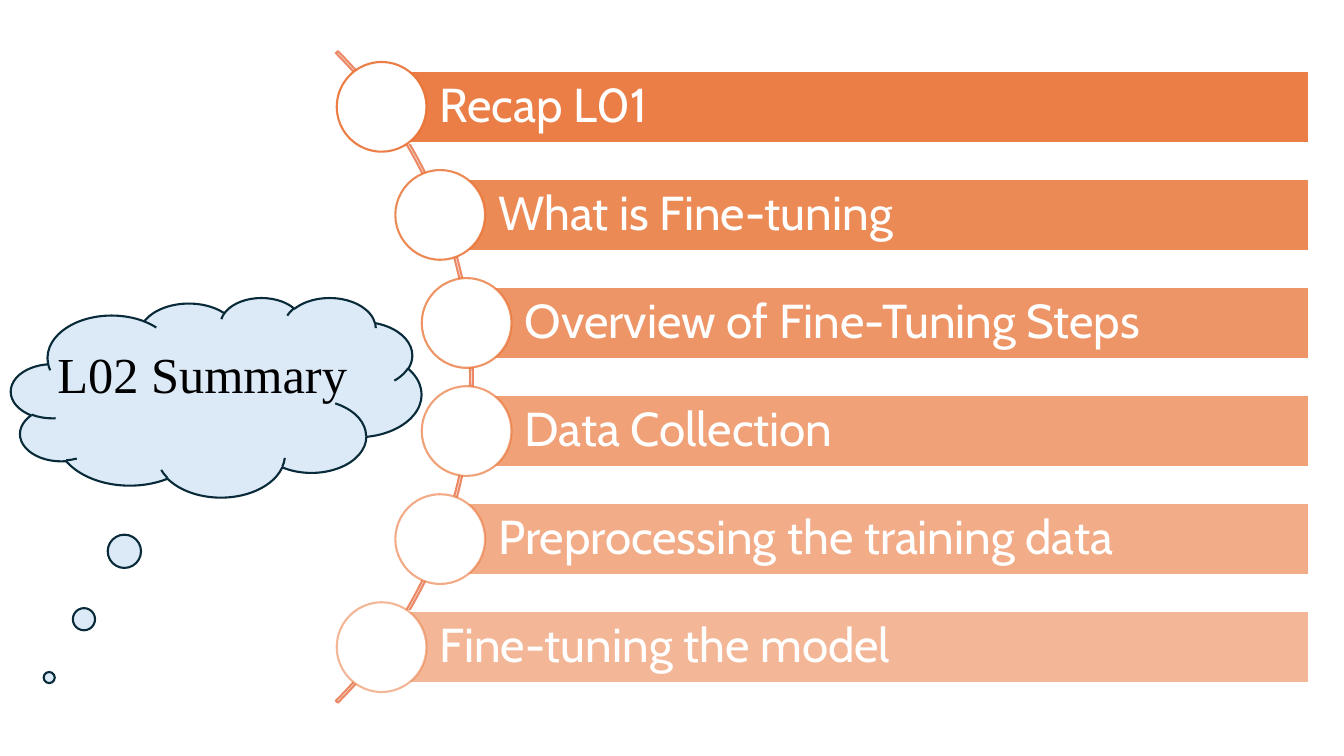
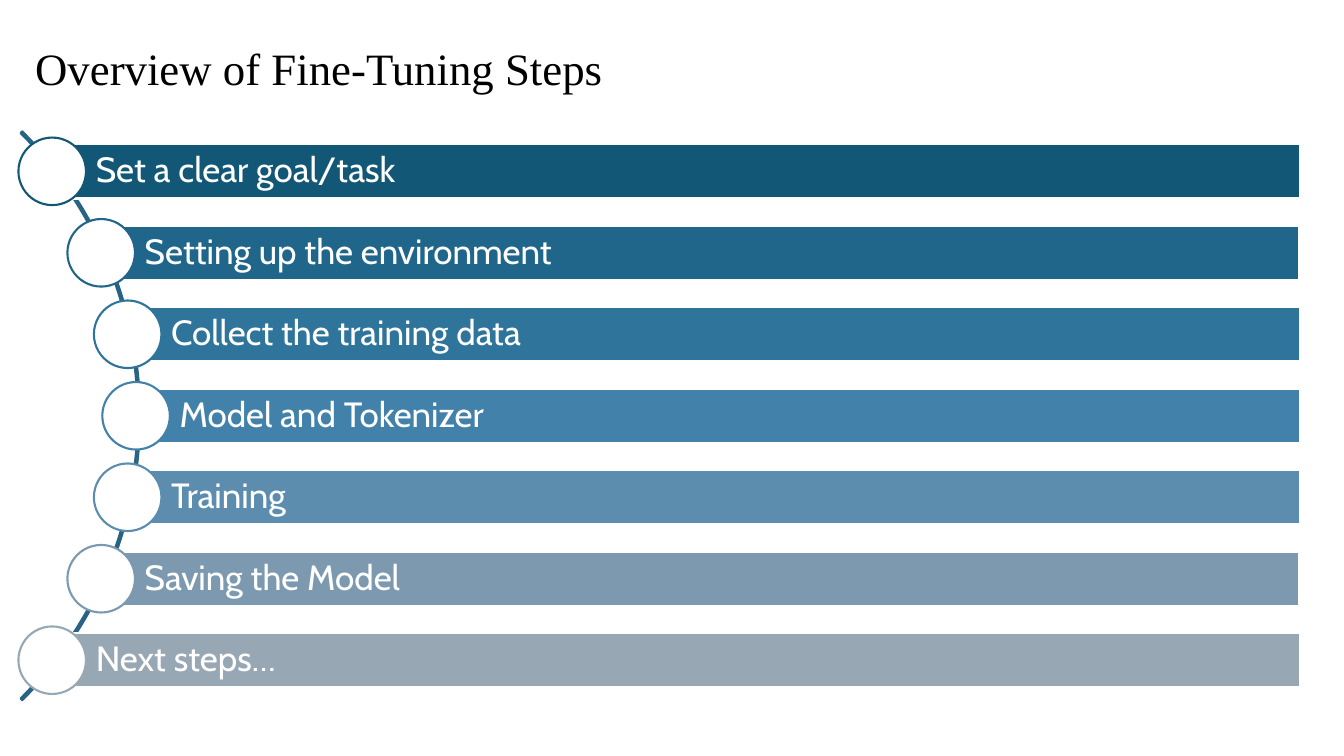
from math import sqrt
from lxml.etree import SubElement
from pptx import Presentation
from pptx.dml.color import RGBColor
from pptx.enum.shapes import MSO_SHAPE
from pptx.enum.text import MSO_ANCHOR, PP_ALIGN
from pptx.oxml.ns import qn
from pptx.util import Pt

SCALE = 9144


def px(size):
    return round(size * SCALE)


def paint(fill, color, alpha=100):
    fill.solid()
    fill.fore_color.rgb = RGBColor.from_string(color)
    if alpha < 100:
        tint = fill._xPr.find(qn("a:solidFill"))[0]
        SubElement(tint, qn("a:alpha")).set("val", str(alpha * 1000))


def write(frame, text, font, size, color, anchor=MSO_ANCHOR.MIDDLE, left=10, edge=5):
    frame.word_wrap = True
    frame.vertical_anchor = anchor
    frame.margin_left, frame.margin_right = px(left), px(10)
    frame.margin_top = frame.margin_bottom = px(edge)
    line = frame.paragraphs[0]
    line.alignment = PP_ALIGN.LEFT
    line.line_spacing = 0.9
    run = line.add_run()
    run.text = text
    run.font.name = font
    run.font.size = Pt(size)
    paint(run.font.fill, color)


class Deck:
    white, black = "FFFFFF", "000000"
    serif, sans = "Times New Roman", "Cabin"
    stroke = 1.5

    def __init__(self):
        self.file = Presentation()
        self.file.slide_width, self.file.slide_height = px(1333), px(750)
        self.slide = None

    def page(self):
        self.slide = self.file.slides.add_slide(self.file.slide_layouts[6])

    def shape(self, kind, box, fill, line, alpha=100, fade=100, adjust=()):
        item = self.slide.shapes.add_shape(kind, *map(px, box))
        item.shadow.inherit = False
        for spot, value in enumerate(adjust):
            item.adjustments[spot] = value
        if fill:
            paint(item.fill, fill, alpha)
        else:
            item.fill.background()
        item.line.width = Pt(self.stroke)
        paint(item.line.fill, line, fade)
        return item

    def title(self, text, box, size, anchor):
        item = self.slide.shapes.add_textbox(*map(px, box))
        write(item.text_frame, text, self.serif, size, self.black, anchor=anchor)

    def cloud(self, box, fill, line):
        self.shape(MSO_SHAPE.CLOUD_CALLOUT, box, fill, line, adjust=(-0.407, 1.405))

    def arc(self, x, y, radius, color):
        box = x - radius, y - radius, 2 * radius, 2 * radius
        self.shape(MSO_SHAPE.BLOCK_ARC, box, None, color, adjust=(189, 27, 0.003))

    def bar(self, text, x, y, right, height, size, color, alpha):
        box = x, y - height / 2, right - x, height
        item = self.shape(MSO_SHAPE.RECTANGLE, box, color, self.white, alpha=alpha)
        write(item.text_frame, text, self.sans, size, self.white,
              left=height * 0.8, edge=height / 8)

    def disc(self, x, y, width, color, fade):
        box = x - width / 2, y - width / 2, width, width
        self.shape(MSO_SHAPE.OVAL, box, self.white, color, fade=fade)

    def curve(self, steps, x, first, last, radius, bend, line, right, height, disc, size):
        middle = (first + last) / 2
        gap = (last - first) / (len(steps) - 1)
        self.arc(x, middle, radius, line)
        for count, (text, color, alpha) in enumerate(steps):
            y = first + count * gap
            start = x + sqrt(bend ** 2 - (y - middle) ** 2)
            self.bar(text, start, y, right, height, size, color, alpha)
            self.disc(start, y, disc, color, alpha)


def main():
    deck = Deck()

    deck.page()
    deck.cloud((11, 295, 407, 198), "DCEAF7", "092A39")
    deck.title("L02 Summary", (47, 337, 361, 75), 36, MSO_ANCHOR.MIDDLE)
    topics = ["Recap L01", "What is Fine-tuning", "Overview of Fine-Tuning Steps",
              "Data Collection", "Preprocessing the training data",
              "Fine-tuning the model"]
    steps = [(text, "E97132", 90 - 8 * count) for count, text in enumerate(topics)]
    deck.curve(steps, x=12, first=106, last=642, radius=457, bend=454,
               line="EB8966", right=1298, height=72, disc=89, size=34)

    deck.page()
    deck.title("Overview of Fine-Tuning Steps", (25, 41, 1150, 59), 32, MSO_ANCHOR.TOP)
    steps = [("Set a clear goal/task", "135776", 100),
             ("Setting up the environment", "20668A", 100),
             ("Collect the training data", "2F749B", 100),
             ("Model and Tokenizer", "4281A9", 100),
             ("Training", "5C8DAF", 100),
             ("Saving the Model", "7C99B0", 100),
             ("Next steps…", "98A7B4", 100)]
    deck.curve(steps, x=-260, first=170, last=655, radius=399, bend=395,
               line="276384", right=1289, height=54, disc=67, size=25)

    deck.file.save("out.pptx")


if __name__ == "__main__":
    main()
